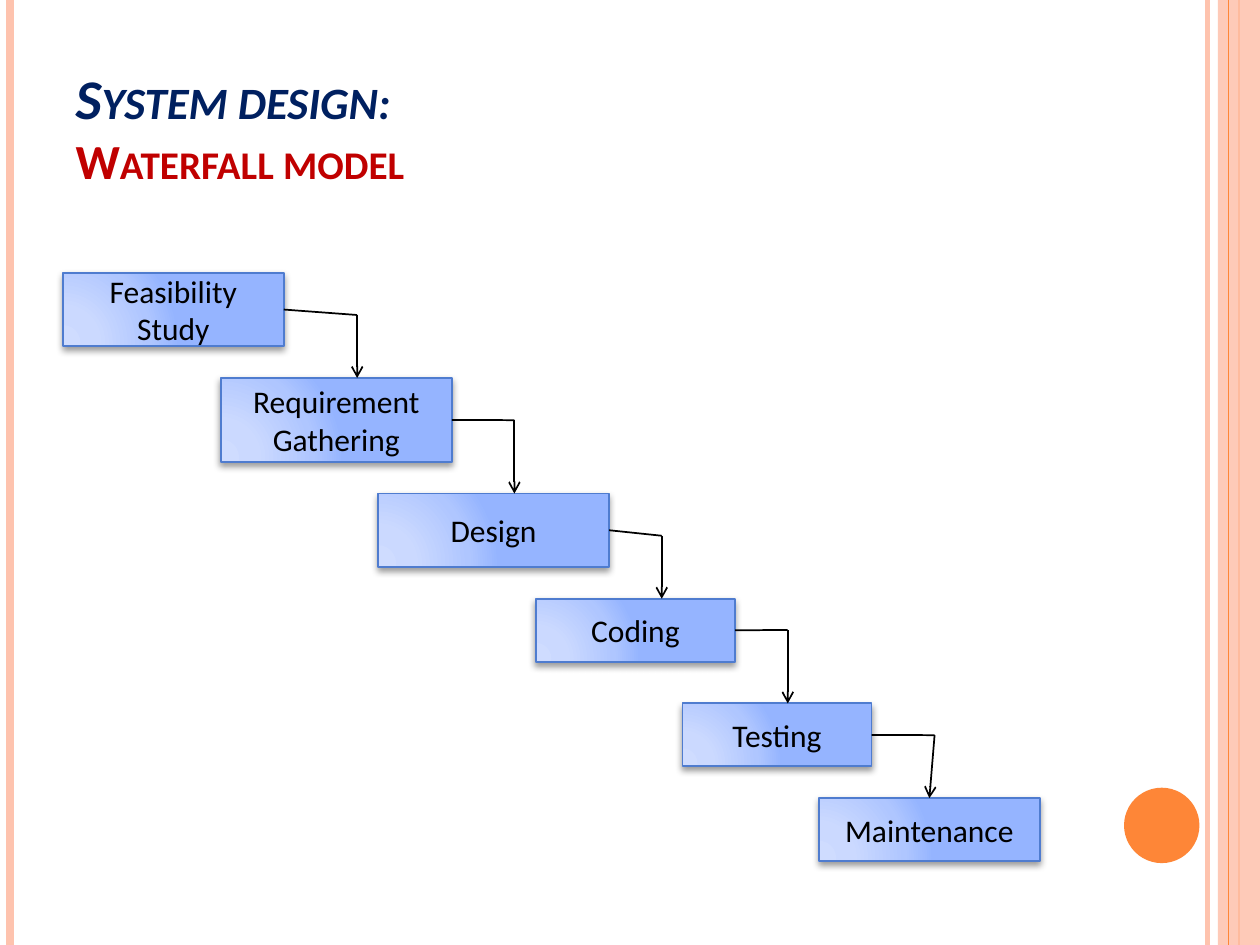
import pptx
import pptx.dml.color
import pptx.enum.shapes
import pptx.enum.text
import pptx.oxml
import pptx.oxml.ns
import pptx.util
from lxml import etree

Cm, Pt = pptx.util.Cm, pptx.util.Pt
RGB = pptx.dml.color.RGBColor.from_string
SHAPE = pptx.enum.shapes.MSO_SHAPE
ANCHOR = pptx.enum.text.MSO_ANCHOR
ALIGN = pptx.enum.text.PP_ALIGN
qn = pptx.oxml.ns.qn

COLORS = {
    "peach": "FEC3AE", "orange": "FE8637", "navy": "002060", "red": "C00000",
    "black": "000000", "stage edge": "4F7CCF",
}
GRADIENT_STOPS = {0: "CFDCFF", 30: "CBD9FF", 75: "AFC6FF", 100: "95B4FF"}
GRADIENT = (
    f'<a:gradFill {pptx.oxml.ns.nsdecls("a")} rotWithShape="1"><a:gsLst>'
    + "".join(f'<a:gs pos="{pos * 1000}"><a:srgbClr val="{color}"/></a:gs>'
              for pos, color in GRADIENT_STOPS.items())
    + '</a:gsLst><a:path path="circle">'
    '<a:fillToRect l="5000" t="100000" r="120000" b="10000"/></a:path></a:gradFill>'
)
SHADOW = (
    f'<a:outerShdw {pptx.oxml.ns.nsdecls("a")} blurRad="{Pt(4)}" dist="{Pt(2)}" '
    'dir="5400000" rotWithShape="0"><a:srgbClr val="000000">'
    '<a:alpha val="40000"/></a:srgbClr></a:outerShdw>'
)

deck = pptx.Presentation()
deck.slide_width, deck.slide_height = Cm(25.4), Cm(19.05)
slide = deck.slides.add_slide(deck.slide_layouts[5])


def add_text(paragraph, text, size=18, color="black", bold=False, italic=False, small_caps=False):
    run = paragraph.add_run()
    run.text = text
    run.font.name, run.font.size = "Calibri", Pt(size)
    run.font.bold, run.font.italic = bold, italic
    run.font.color.rgb = RGB(COLORS[color])
    if small_caps:
        run.font._element.set("cap", "small")


def add_line(x1, y1, x2, y2, color="black", width=1, arrow=False):
    line = slide.shapes.add_connector(
        pptx.enum.shapes.MSO_CONNECTOR.STRAIGHT, Cm(x1), Cm(y1), Cm(x2), Cm(y2))
    line.line.color.rgb = RGB(COLORS[color])
    line.line.width = Pt(width)
    if arrow:
        etree.SubElement(line.line._get_or_add_ln(), qn("a:tailEnd"), type="arrow")
    etree.SubElement(line._element.spPr, qn("a:effectLst"))
    return line


# Page edges and the orange disc
for x, color, width in [(24.34, "peach", 3), (0.21, "peach", 4.5), (24.98, "orange", 1.5)]:
    add_line(x, 0, x, 19.05, color, width)

right_band = slide.shapes.add_shape(SHAPE.RECTANGLE, Cm(24.55), 0, Cm(0.85), Cm(19.05))
add_line(24.77, 0, 24.77, 19.05, "orange", 0.75)
disc = slide.shapes.add_shape(SHAPE.OVAL, Cm(22.66), Cm(15.88), Cm(1.52), Cm(1.52))
for ornament, color in [(right_band, "peach"), (disc, "orange")]:
    ornament.shadow.inherit = False
    ornament.fill.solid()
    ornament.fill.fore_color.rgb = RGB(COLORS[color])
    ornament.line.fill.background()
band_color = right_band._element.spPr.find(qn("a:solidFill"))[0]
etree.SubElement(band_color, qn("a:alpha"), val="87000")

# Title
title = slide.shapes.title
title.left, title.top, title.width, title.height = Cm(1.27), Cm(0.76), Cm(20.75), Cm(3.18)
title.text_frame.vertical_anchor = ANCHOR.BOTTOM
title.text_frame.auto_size = pptx.enum.text.MSO_AUTO_SIZE.NONE
heading = title.text_frame.paragraphs[0]
heading.alignment = ALIGN.LEFT
add_text(heading, "System design:", size=32, color="navy", bold=True, italic=True, small_caps=True)
heading.add_line_break()
add_text(heading, "Waterfall model", size=28, color="red", bold=True, small_caps=True)

# Waterfall stages: text, left, top, width, height
STAGES = [
    ("Feasibility Study", 1.27, 5.5, 4.45, 1.48),
    ("Requirement Gathering", 4.45, 7.62, 4.66, 1.69),
    ("Design", 7.62, 9.95, 4.66, 1.48),
    ("Coding", 10.8, 12.07, 4.02, 1.27),
    ("Testing", 13.76, 14.18, 3.81, 1.27),
    ("Maintenance", 16.51, 16.09, 4.45, 1.27),
]
stages = []
for text, left, top, width, height in STAGES:
    stage = slide.shapes.add_shape(SHAPE.RECTANGLE, Cm(left), Cm(top), Cm(width), Cm(height))
    stage.fill.background()
    properties = stage._element.spPr
    properties.replace(properties.find(qn("a:noFill")), pptx.oxml.parse_xml(GRADIENT))
    stage.line.color.rgb = RGB(COLORS["stage edge"])
    stage.line.width = Pt(1)
    stage.shadow.inherit = False
    properties.find(qn("a:effectLst")).append(pptx.oxml.parse_xml(SHADOW))
    stage.text_frame.word_wrap = True
    stage.text_frame.vertical_anchor = ANCHOR.MIDDLE
    label = stage.text_frame.paragraphs[0]
    label.alignment = ALIGN.CENTER
    add_text(label, text)
    stages.append(stage)

# Steps down: out of a stage's right side to a corner, then down to the next stage
CORNERS = [(7.2, 6.35), (10.37, 8.47), (13.34, 10.8), (15.88, 12.7), (18.84, 14.82)]
for i, (x, y) in enumerate(CORNERS):
    _, left, top, width, height = STAGES[i]
    next_top = STAGES[i + 1][2]
    outward = add_line(left + width, top + height / 2, x, y)
    outward.begin_connect(stages[i], 3)
    downward = add_line(x, y, x, next_top, arrow=True)

# The last arrow meets the middle of the Maintenance box
downward.end_connect(stages[-1], 0)

deck.save("out.pptx")
